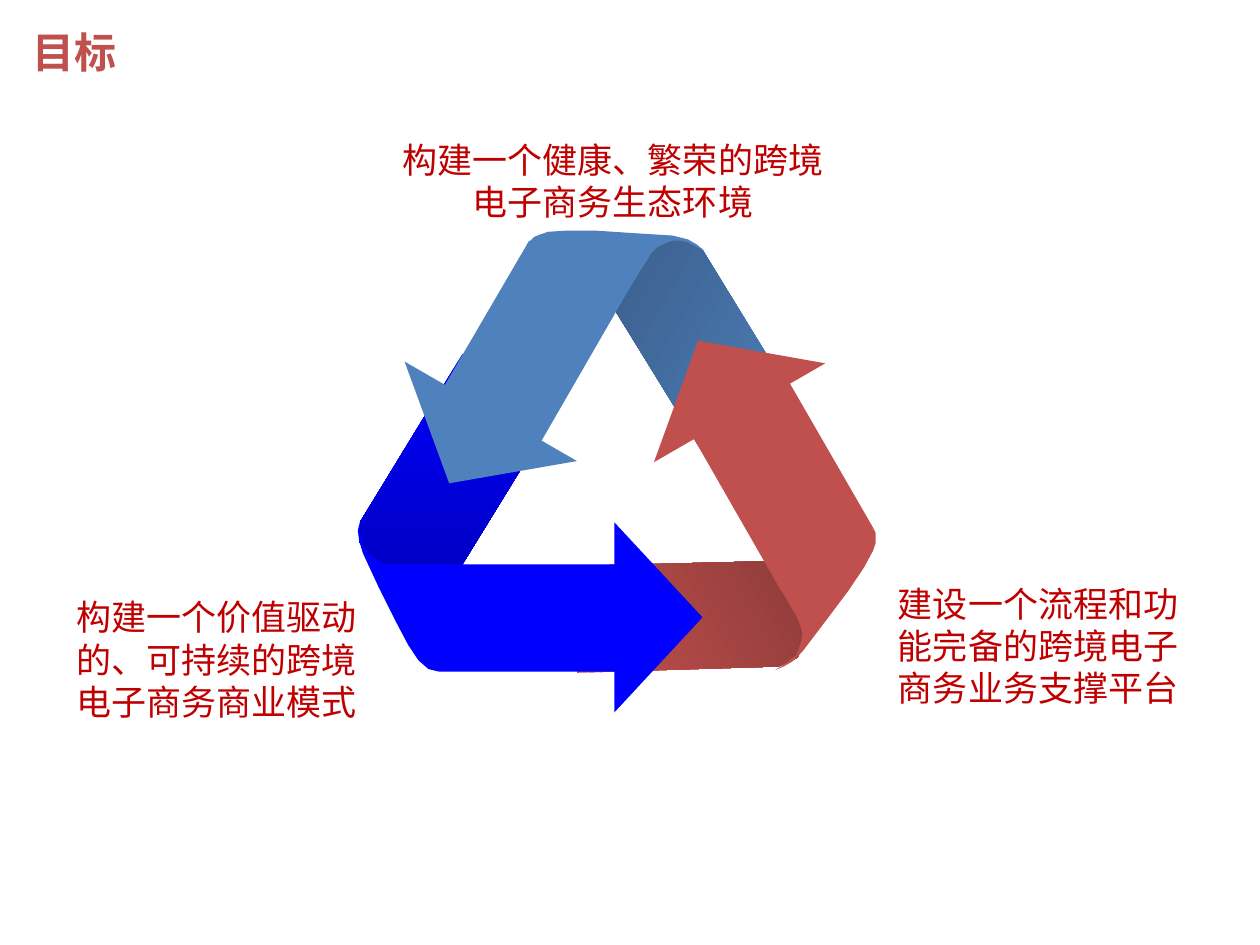
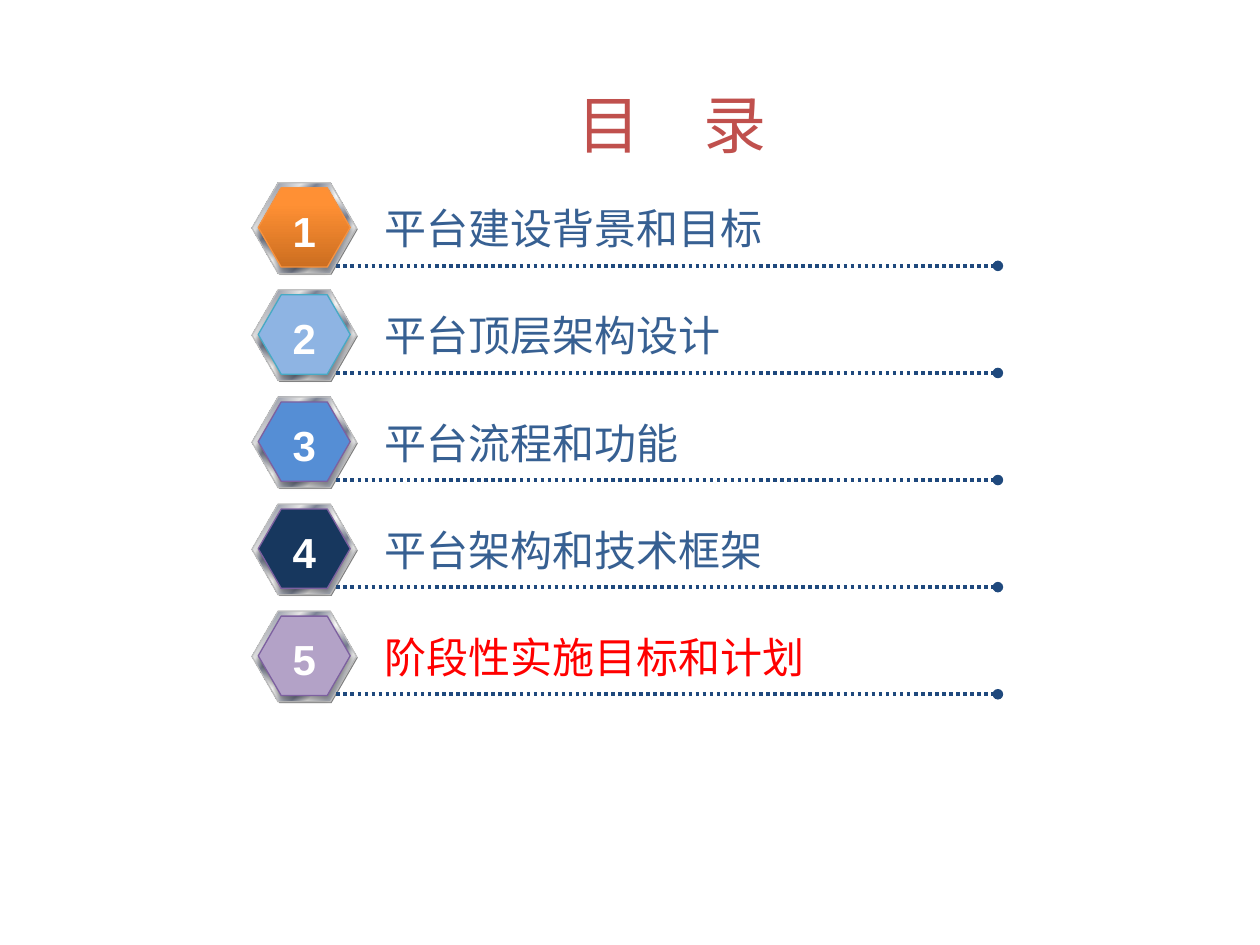
from lxml import etree
from pptx import Presentation
from pptx.dml.color import RGBColor
from pptx.enum.dml import MSO_LINE
from pptx.enum.shapes import MSO_CONNECTOR, MSO_SHAPE
from pptx.enum.text import PP_ALIGN
from pptx.oxml.ns import qn
from pptx.util import Inches, Pt

LEFT, CENTER, RIGHT = PP_ALIGN.LEFT, PP_ALIGN.CENTER, PP_ALIGN.RIGHT
HEXAGON, TRIANGLE = MSO_SHAPE.HEXAGON, MSO_SHAPE.ISOSCELES_TRIANGLE
STRAIGHT, DOTTED = MSO_CONNECTOR.STRAIGHT, MSO_LINE.ROUND_DOT

COLORS = {
    "title": "C0504D", "goal": "C00000", "item": "376092", "current": "FF0000",
    "white": "FFFFFF", "rule": "1F497D", "rim": "808080", "rim_line": "C0C0C0",
    "steel": "4F81BD", "steel_dark": "395C87", "brick": "C0504D",
    "brick_dark": "893937", "blue": "0000FF", "blue_dark": "0000B6",
    "silver": "E6E6E6", "slate": "7D8496", "orange": "FF9136",
    "orange_mid": "FF9034", "orange_dark": "CC6E20", "orange_line": "F69240",
    "sky": "8EB4E3", "sky_line": "46AAC5", "azure": "558ED5", "navy": "17375E",
    "lilac": "B3A2C7", "violet_line": "7D60A0",
}
CJK_FONT, HEADING_FONT, ITEM_FONT = "Noto Sans CJK SC", "Lato", "Arial"
LINE_RATIO = 1.2

# Slide 1: goals around a triangle of folded arrows
PAGE_TITLE = "目标"
GOALS = [
    ("构建一个价值驱动的、可持续的跨境电子商务商业模式", (0.33, 4.65, 2.6, 1.11), RIGHT),
    ("构建一个健康、繁荣的跨境电子商务生态环境", (3.08, 1.02, 3.57, 0.77), CENTER),
    ("建设一个流程和功能完备的跨境电子商务业务支撑平台", (6.94, 4.54, 2.6, 1.11), CENTER),
]
# Each arrow: shaded tail with its gradient angle, head box and turn, body, fold
ARROWS = {
    "blue": {
        "tail": [(4.44, 3.23), (3.38, 4.95), (2.85, 4.3), (2.86, 4.14), (3.67, 2.81)],
        "angle": 90,
        "head": (4.47, 4.55, 1.51, 0.7), "turn": 90,
        "body": [(5.16, 4.48), (3.42, 4.48), (3.42, 4.92), (3.48, 5.33), (5.16, 5.33)],
        "fold": [(3.48, 4.48), (3.48, 5.33), (3.4, 5.31), (3.32, 5.24), (3.24, 5.12),
                 (3.14, 4.93), (3.01, 4.67), (2.88, 4.39), (2.85, 4.29), (2.84, 4.21),
                 (2.86, 4.13), (2.86, 4.25), (2.88, 4.33), (2.91, 4.38), (2.95, 4.42),
                 (3, 4.45), (3.08, 4.48)],
    },
    "steel": {
        "tail": [(5.68, 3.76), (4.59, 1.99), (5.44, 1.9), (5.58, 1.99), (6.42, 3.36)],
        "angle": 210,
        "head": (2.94, 3.22, 1.58, 0.66), "turn": 210,
        "body": [(4.17, 3.72), (4.99, 2.3), (4.6, 2.08), (4.2, 1.91), (3.4, 3.28)],
        "fold": [(4.94, 2.38), (4.18, 1.94), (4.24, 1.88), (4.29, 1.86), (4.35, 1.84),
                 (4.5, 1.83), (4.72, 1.83), (5.02, 1.85), (5.34, 1.87), (5.46, 1.9),
                 (5.53, 1.94), (5.59, 1.99), (5.51, 1.95), (5.45, 1.92), (5.4, 1.91),
                 (5.34, 1.91), (5.28, 1.93), (5.22, 1.96), (5.17, 2.01), (5.12, 2.09)],
    },
    "brick": {
        "tail": [(4.6, 4.49), (6.68, 4.44), (6.33, 5.22), (6.18, 5.29), (4.58, 5.34)],
        "angle": 330,
        "head": (4.92, 2.66, 1.57, 0.66), "turn": 330,
        "body": [(5.38, 3.26), (6.2, 4.69), (6.59, 4.46), (6.93, 4.19), (6.14, 2.82)],
        "fold": [(6.17, 4.63), (6.93, 4.19), (6.95, 4.23), (6.95, 4.31), (6.93, 4.37),
                 (6.86, 4.5), (6.74, 4.68), (6.56, 4.92), (6.37, 5.17), (6.29, 5.25),
                 (6.22, 5.29), (6.15, 5.32), (6.23, 5.27), (6.28, 5.23), (6.32, 5.2),
                 (6.34, 5.15), (6.36, 5.09), (6.37, 5.03), (6.35, 4.96), (6.32, 4.89)],
    },
}
# The blue tail lies below everything, the blue front above everything
STACK = [("blue", "tail"), ("steel", "tail"), ("steel", "front"),
         ("brick", "tail"), ("brick", "front"), ("blue", "front")]

# Slide 2: contents
CONTENTS_TITLE = "目　录"
ORANGE_BLEND = [(0, "orange_dark"), (80, "orange_mid"), (100, "orange")]
CONTENTS = [  # wording, text colour, badge fill, badge line
    ("平台建设背景和目标", "item", ORANGE_BLEND, "orange_line"),
    ("平台顶层架构设计", "item", "sky", "sky_line"),
    ("平台流程和功能", "item", "azure", "violet_line"),
    ("平台架构和技术框架", "item", "navy", "violet_line"),
    ("阶段性实施目标和计划", "current", "lilac", "violet_line"),
]
METAL = [(0, "silver"), (8, "slate"), (26, "silver"), (34, "slate"), (46, "silver"),
         (50, "white"), (54, "silver"), (66, "slate"), (74, "silver"), (92, "slate"),
         (100, "silver")]
BADGE_LEFT, FIRST_TOP, ROW_PITCH = 2, 1.45, 0.85
RULE_START, RULE_END, RULE_DROP = 2.67, 7.92, 0.66


def color(name):
    return RGBColor.from_string(COLORS[name])


def inches(values):
    return [Inches(value) for value in values]


def add_text(page, text, place, *, size, tint, font=CJK_FONT, bold=False,
             align=LEFT, wrap=True):
    box = page.shapes.add_textbox(*inches(place))
    frame = box.text_frame
    frame.word_wrap = wrap
    frame.margin_top = Inches(0.08)
    para = frame.paragraphs[0]
    para.alignment = align
    para.line_spacing = Pt(size * LINE_RATIO)
    span = para.add_run()
    span.text = text
    span.font.name, span.font.size, span.font.bold = font, Pt(size), bold
    span.font.color.rgb = color(tint)
    latin = span.font._element.find(qn("a:latin"))
    east_asian = etree.Element(qn("a:ea"), typeface=CJK_FONT)
    latin.addnext(east_asian)


def paint(shape, fill, *, angle=0, line=None):
    """Fill with one colour name or with a list of (percent, colour name)."""
    shape.shadow.inherit = False
    if isinstance(fill, str):
        shape.fill.solid()
        shape.fill.fore_color.rgb = color(fill)
    else:
        shape.fill.gradient()
        shape.fill.gradient_angle = (360 - angle) % 360
        stops = shape._element.spPr.find(".//" + qn("a:gsLst"))
        for stop in list(stops):
            stops.remove(stop)
        for percent, name in fill:
            stop = etree.SubElement(stops, qn("a:gs"), pos=str(percent * 1000))
            etree.SubElement(stop, qn("a:srgbClr"), val=COLORS[name])
    if line:
        shape.line.color.rgb = color(line)
        shape.line.width = Pt(0.75)
    else:
        shape.line.fill.background()


def add_outline(page, points, fill, **style):
    start, *others = [inches(point) for point in points]
    builder = page.shapes.build_freeform(*start)
    builder.add_line_segments(others, close=True)
    paint(builder.convert_to_shape(), fill, **style)


def add_preset(page, kind, place, fill, *, adjust=(), turn=0, **style):
    shape = page.shapes.add_shape(kind, *inches(place))
    for index, value in enumerate(adjust):
        shape.adjustments[index] = value
    shape.rotation = turn
    paint(shape, fill, **style)
    return shape


def add_soft_shadow(shape):
    effects = shape._element.spPr.find(qn("a:effectLst"))
    shadow = etree.SubElement(effects, qn("a:outerShdw"), blurRad=str(Pt(3.1)),
                              dist=str(Pt(1.8)), dir="5400000", rotWithShape="0")
    tint = etree.SubElement(shadow, qn("a:srgbClr"), val="000000")
    etree.SubElement(tint, qn("a:alpha"), val="35000")


def add_dotted_rule(page, top):
    rule = page.shapes.add_connector(
        STRAIGHT, *inches((RULE_START, top, RULE_END, top)))
    rule.line.color.rgb = color("rule")
    rule.line.width = Pt(2)
    rule.line.dash_style = DOTTED
    properties = rule._element.spPr
    etree.SubElement(properties.find(qn("a:ln")), qn("a:tailEnd"), type="oval")
    etree.SubElement(properties, qn("a:effectLst"))


def add_badge(page, top):
    """Metal rim with its dark edge."""
    adjust = (0.289, 1.155)
    add_preset(page, HEXAGON, (BADGE_LEFT + 0.01, top + 0.01, 0.83, 0.72), "rim",
               adjust=adjust)
    add_preset(page, HEXAGON, (BADGE_LEFT, top, 0.83, 0.72), METAL, angle=45,
               adjust=adjust, line="rim_line")
    return adjust


def build_goals(page):
    add_text(page, PAGE_TITLE, (0.16, 0.13, 6.95, 0.47), size=24, tint="title", bold=True)
    for text, place, align in GOALS:
        add_text(page, text, place, size=20, tint="goal", align=align)
    for name, part in STACK:
        arrow = ARROWS[name]
        if part == "tail":
            add_outline(page, arrow["tail"], [(0, name), (100, name + "_dark")],
                        angle=arrow["angle"])
        else:
            add_preset(page, TRIANGLE, arrow["head"], name, turn=arrow["turn"])
            add_outline(page, arrow["body"], name)
            add_outline(page, arrow["fold"], name)


def build_contents(page):
    add_text(page, CONTENTS_TITLE, (4.01, 0.6, 2.64, 0.71), size=36, tint="title",
             font=HEADING_FONT, align=CENTER)
    for row, (text, tint, fill, line) in enumerate(CONTENTS):
        top = FIRST_TOP + row * ROW_PITCH
        adjust = add_badge(page, top)
        face = add_preset(page, HEXAGON, (BADGE_LEFT + 0.05, top + 0.04, 0.73, 0.63),
                          fill, angle=270, adjust=adjust, line=line)
        add_soft_shadow(face)
        add_dotted_rule(page, top + RULE_DROP)
        add_text(page, text, (2.95, top + 0.08, 4.88, 0.51), size=24, tint=tint,
                 font=ITEM_FONT)
        add_text(page, str(row + 1), (2.22, top + 0.1, 0.39, 0.5), size=24,
                 tint="white", font=ITEM_FONT, bold=True, align=CENTER, wrap=False)


def main():
    deck = Presentation()
    deck.slide_width, deck.slide_height = Inches(10), Inches(7.5)
    blank = deck.slide_layouts[6]
    for build in (build_goals, build_contents):
        build(deck.slides.add_slide(blank))
    deck.save("out.pptx")


if __name__ == "__main__":
    main()
